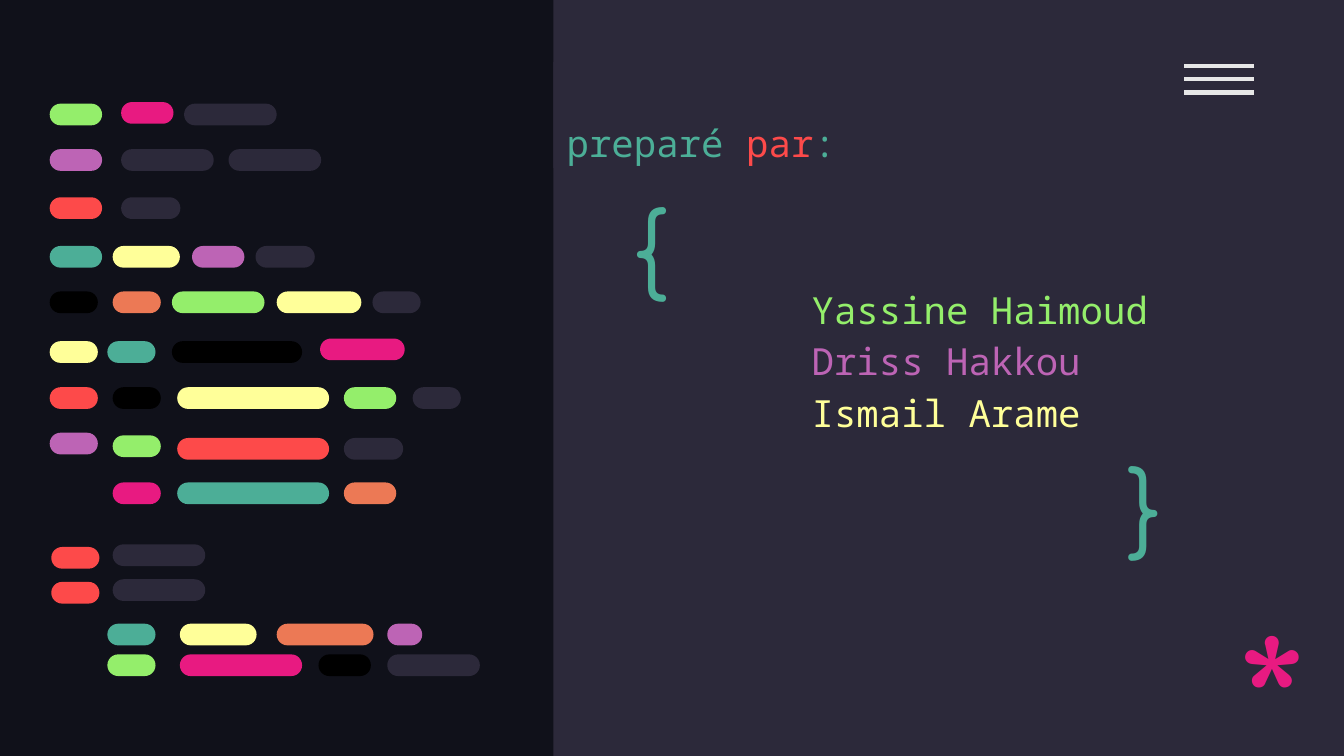
from lxml import etree
from pptx import Presentation
from pptx.dml.color import RGBColor
from pptx.enum.shapes import MSO_CONNECTOR, MSO_SHAPE
from pptx.enum.text import MSO_ANCHOR, PP_ALIGN
from pptx.oxml.ns import qn
from pptx.util import Cm, Pt

NIGHT = RGBColor(0x10, 0x11, 0x1A)
SLATE = RGBColor(0x2C, 0x29, 0x3A)
BLACK = RGBColor(0x00, 0x00, 0x00)
SILVER = RGBColor(0xE7, 0xE7, 0xE7)
GREEN = RGBColor(0x94, 0xEE, 0x6B)
PINK = RGBColor(0xE8, 0x1A, 0x81)
PURPLE = RGBColor(0xBD, 0x64, 0xB5)
RED = RGBColor(0xFD, 0x4A, 0x4A)
TEAL = RGBColor(0x4C, 0xAE, 0x97)
YELLOW = RGBColor(0xFF, 0xFF, 0x99)
ORANGE = RGBColor(0xEC, 0x79, 0x55)

CODE_FONT = "Noto Sans Mono"
SYMBOL_FONT = "Comfortaa"


def add_block(kind, left, top, width, height, color):
    shape = slide.shapes.add_shape(kind, Cm(left), Cm(top), Cm(width), Cm(height))
    shape.shadow.inherit = False
    shape.fill.solid()
    shape.fill.fore_color.rgb = color
    shape.line.fill.background()
    return shape


def set_frame(shape, margin_left=0.25, margin_top=0.25):
    frame = shape.text_frame
    frame.word_wrap = True
    frame.vertical_anchor = MSO_ANCHOR.TOP
    frame.margin_left, frame.margin_right = Cm(margin_left), Cm(0)
    frame.margin_top, frame.margin_bottom = Cm(margin_top), Cm(0.25)
    return frame


presentation = Presentation()
presentation.slide_width = Cm(25.4)
presentation.slide_height = Cm(14.29)
slide = presentation.slides.add_slide(presentation.slide_layouts[6])
slide.background.fill.solid()
slide.background.fill.fore_color.rgb = NIGHT

# Right panel
add_block(MSO_SHAPE.RECTANGLE, 10.46, 0, 14.94, 14.29, SLATE)

# Menu icon
for row in range(3):
    y = Cm(1.25 + 0.25 * row)
    bar = slide.shapes.add_connector(MSO_CONNECTOR.STRAIGHT, Cm(22.38), y, Cm(23.7), y)
    bar.line.color.rgb = SILVER
    bar.line.width = Pt(2.25)
    etree.SubElement(bar._element.spPr, qn("a:effectLst"))

# Code pills: top of each row, then left, width and colour of each pill
pill_rows = [
    (1.96, [(0.94, 0.99, GREEN), (3.48, 1.75, SLATE)]),
    (1.93, [(2.29, 0.99, PINK)]),
    (2.82, [(0.94, 0.99, PURPLE), (2.29, 1.75, SLATE), (4.32, 1.75, SLATE)]),
    (3.73, [(0.94, 0.99, RED), (2.29, 1.12, SLATE)]),
    (4.65, [(0.94, 0.99, TEAL), (2.13, 1.27, YELLOW), (3.63, 0.99, PURPLE),
            (4.83, 1.12, SLATE)]),
    (5.51, [(0.94, 0.91, BLACK), (2.13, 0.91, ORANGE), (3.25, 1.75, GREEN),
            (5.23, 1.6, YELLOW), (7.04, 0.91, SLATE)]),
    (6.45, [(0.94, 0.91, YELLOW), (2.03, 0.91, TEAL), (3.25, 2.46, BLACK)]),
    (6.4, [(6.05, 1.6, PINK)]),
    (7.32, [(0.94, 0.91, RED), (2.13, 0.91, BLACK), (3.35, 2.87, YELLOW),
            (6.5, 0.99, GREEN), (7.8, 0.91, SLATE)]),
    (8.18, [(0.94, 0.91, PURPLE)]),
    (8.23, [(2.13, 0.91, GREEN)]),
    (8.28, [(3.35, 2.87, RED), (6.5, 1.12, SLATE)]),
    (9.12, [(2.13, 0.91, PINK), (3.35, 2.87, TEAL), (6.5, 0.99, ORANGE)]),
    (10.34, [(0.97, 0.91, RED)]),
    (10.29, [(2.13, 1.75, SLATE)]),
    (11, [(0.97, 0.91, RED)]),
    (10.95, [(2.13, 1.75, SLATE)]),
    (11.79, [(2.03, 0.91, TEAL), (3.4, 1.45, YELLOW), (5.23, 1.83, ORANGE),
             (7.32, 0.66, PURPLE)]),
    (12.37, [(2.03, 0.91, GREEN), (3.4, 2.31, PINK), (6.02, 0.99, BLACK),
             (7.32, 1.75, SLATE)]),
]
for top, pills in pill_rows:
    for left, width, color in pills:
        pill = add_block(MSO_SHAPE.ROUNDED_RECTANGLE, left, top, width, 0.41, color)
        pill.adjustments[0] = 0.5

# Names
names = add_block(MSO_SHAPE.RECTANGLE, 12.8, 5.05, 11.68, 3.81, SLATE)
frame = set_frame(names, margin_left=2.54)
authors = [("Yassine Haimoud", GREEN), ("Driss Hakkou", PURPLE), ("Ismail Arame", YELLOW)]
for index, (name, color) in enumerate(authors):
    paragraph = frame.add_paragraph() if index else frame.paragraphs[0]
    paragraph.text = name
    paragraph.alignment = PP_ALIGN.LEFT
    paragraph.line_spacing = 1.15
    paragraph.font.name = CODE_FONT
    paragraph.font.size = Pt(20)
    paragraph.font.color.rgb = color

# Heading
heading = add_block(MSO_SHAPE.RECTANGLE, 10.46, 1.17, 10.41, 2.01, SLATE)
paragraph = set_frame(heading, margin_top=0.97).paragraphs[0]
paragraph.alignment = PP_ALIGN.LEFT
paragraph.line_spacing = 1.15
paragraph.font.name = CODE_FONT
paragraph.font.size = Pt(20)
for text, color in [("preparé ", TEAL), ("par", RED), (":", TEAL)]:
    run = paragraph.add_run()
    run.text = text
    run.font.color.rgb = color

# Braces and asterisk
symbols = [
    ("{", 11.71, 3.28, 2.41, 50, TEAL),
    ("}", 21.06, 8.18, 2.41, 50, TEAL),
    ("*", 23.14, 11.05, 2.21, 96, PINK),
]
for text, left, top, height, size, color in symbols:
    box = slide.shapes.add_textbox(Cm(left), Cm(top), Cm(1.45), Cm(height))
    paragraph = set_frame(box).paragraphs[0]
    paragraph.text = text
    paragraph.font.name = SYMBOL_FONT
    paragraph.font.size = Pt(size)
    paragraph.font.color.rgb = color

presentation.save("out.pptx")
